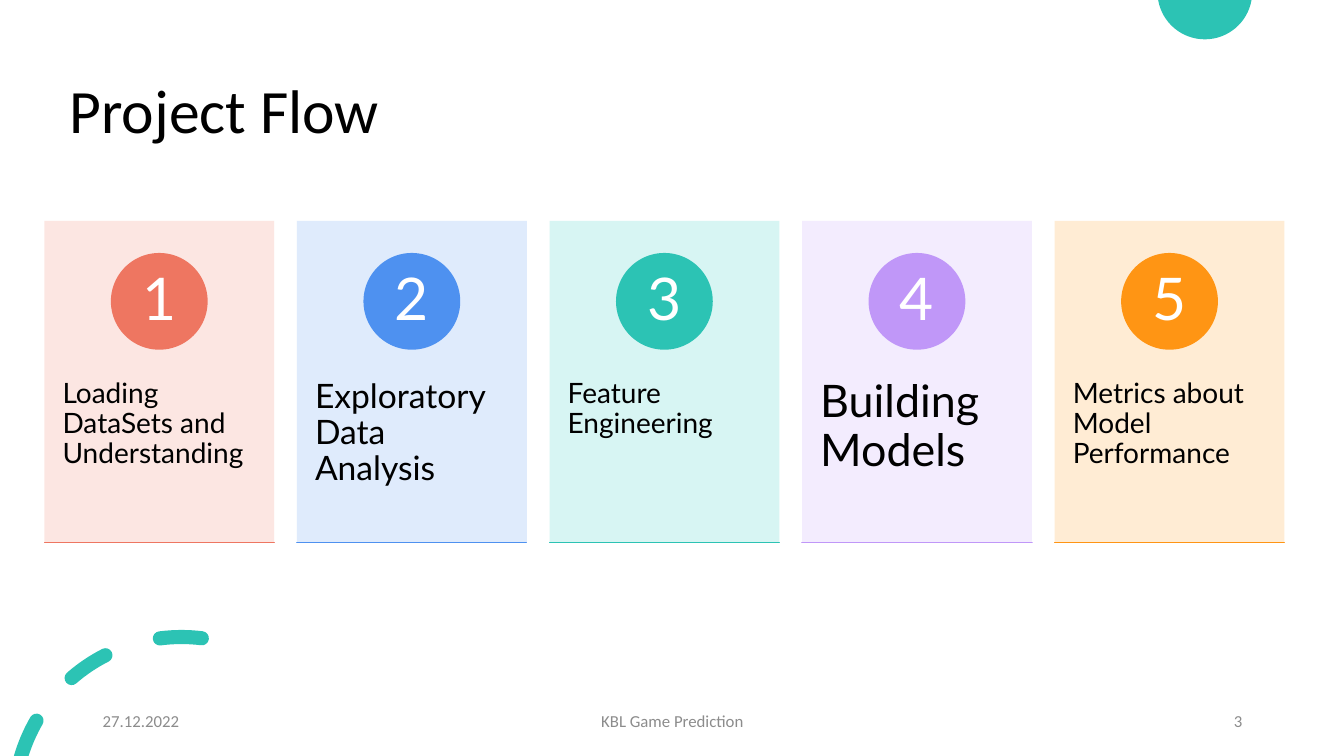
from math import cos, radians, sin, tan

from lxml import etree
from pptx import Presentation
from pptx import util as u
from pptx.dml.color import RGBColor
from pptx.enum import shapes, text
from pptx.oxml.ns import qn

# Content: step text, text size, accent colour, card tint
TITLE = "Project Flow"
STEPS = [
    ("Loading DataSets and Understanding", 20, "EE7661", "FCE4DF"),
    ("Exploratory Data Analysis", 24, "4E91F0", "DCE9FC"),
    ("Feature Engineering", 20, "2CC3B4", "D3F5F2"),
    ("Building Models", 32, "C097F8", "F2EAFE"),
    ("Metrics about Model Performance", 20, "FF9514", "FFEAD0"),
]
LEFT, MID, RIGHT = text.PP_ALIGN.LEFT, text.PP_ALIGN.CENTER, text.PP_ALIGN.RIGHT
# Footer: text, left, width, alignment
FOOTER = [
    ("27.12.2022", 92, 300, LEFT),
    ("KBL Game Prediction", 442, 450, MID),
    ("3", 942, 300, RIGHT),
]
TEAL = "2CC3B4"

# Layout in px, 100 to the inch
WIDE, HIGH = 1333, 750
FIRST, LAST, TOP = 44, 1046, 219
CARD_W, CARD_H = 228, 319
DISC, DISC_TOP, INSET = 96, 251, 14
BODY_TOP, BODY_H = 340, 191
PITCH = (LAST - FIRST) / (len(STEPS) - 1)

# Ring of dashes: centre, radius, half width; angles in degrees from the top
HUB, RING, HALF = (180, 798), 166, 7
OUT, IN = RING + HALF, RING - HALF


def px(n):
    return u.Emu(round(n * 9144))


def box(*dims):
    return [px(n) for n in dims]


def rgb(code):
    return RGBColor.from_string(code)


def paint(shape, code, edge=None):
    shape.fill.solid()
    shape.fill.fore_color.rgb = rgb(code)
    shape.shadow.inherit = False
    if edge:
        shape.line.color.rgb = rgb(edge)
        shape.line.width = u.Pt(1)
    else:
        shape.line.fill.background()


def write(shape, words, size, font, code, align=LEFT, space=1.0,
          anchor=text.MSO_ANCHOR.MIDDLE, pad=(10, 5)):
    frame = shape.text_frame
    frame.word_wrap = True
    frame.auto_size = text.MSO_AUTO_SIZE.NONE
    frame.vertical_anchor = anchor
    frame.margin_left = frame.margin_right = px(pad[0])
    frame.margin_top = frame.margin_bottom = px(pad[1])
    para = frame.paragraphs[0]
    para.alignment = align
    para.line_spacing = space
    run = para.add_run()
    run.text = words
    run.font.size = u.Pt(size)
    run.font.name = font
    run.font.color.rgb = rgb(code)


def polar(hub, r, deg):
    return hub[0] + r * sin(radians(deg)), hub[1] - r * cos(radians(deg))


def arc(hub, r, a, b):
    """Start, two handles and end of one curve."""
    k = 4 / 3 * tan(radians(b - a) / 4) * r
    start, end = polar(hub, r, a), polar(hub, r, b)
    return [start, polar(start, k, a + 90), polar(end, -k, b + 90), end]


def cap(deg, turn):
    hub = polar(HUB, RING, deg)
    return [arc(hub, HALF, turn + t, turn + t + 90) for t in (0, 90)]


def dash(a, b):
    return [arc(HUB, OUT, a, b), *cap(b, b),
            arc(HUB, IN, b, a), *cap(a, a + 180)]


def outline(tree, loops, code):
    """Closed loops of curves as one freeform."""
    pen = None
    for loop in loops:
        start = box(*loop[0][0])
        if pen:
            pen.move_to(*start)
        else:
            pen = tree.build_freeform(*start, scale=1.0)
        pen.add_line_segments([box(*p) for c in loop for p in c[1:]])
        pen.add_line_segments([], close=True)
    shape = pen.convert_to_shape()
    paint(shape, code)
    # Turn each three points into one curve
    steps = list(shape._element.iter(qn("a:lnTo")))
    for i in range(0, len(steps), 3):
        curve = etree.Element(qn("a:cubicBezTo"))
        steps[i].addprevious(curve)
        for step in steps[i:i + 3]:
            curve.append(step[0])
            step.getparent().remove(step)


def card(tree, num, words, size, accent, tint):
    left = FIRST + (num - 1) * PITCH
    # Tinted panel
    panel = tree.add_shape(shapes.MSO_SHAPE.RECTANGLE,
                           *box(left, TOP, CARD_W, CARD_H))
    paint(panel, tint)
    hue = panel.fill._xPr.find(qn("a:solidFill"))[0]
    etree.SubElement(hue, qn("a:alpha")).set("val", "90000")
    # Step text
    body = tree.add_textbox(*box(left, BODY_TOP, CARD_W, BODY_H))
    write(body, words, size, "Lato", "000000", space=0.9,
          anchor=text.MSO_ANCHOR.TOP, pad=(18, 36))
    # Disc and its number
    side = left + (CARD_W - DISC) / 2
    disc = tree.add_shape(shapes.MSO_SHAPE.OVAL,
                          *box(side, DISC_TOP, DISC, DISC))
    paint(disc, accent)
    inner = DISC - 2 * INSET
    digit = tree.add_textbox(
        *box(side + INSET, DISC_TOP + INSET, inner, inner))
    write(digit, str(num), 42, "Lato", "FFFFFF", MID, 0.9, pad=(7, 1))
    # Flat base bar
    base = tree.add_shape(shapes.MSO_SHAPE.RECTANGLE,
                          *box(left, TOP + CARD_H, CARD_W, 0))
    paint(base, accent, accent)


def main():
    deck = Presentation()
    deck.slide_width, deck.slide_height = box(WIDE, HIGH)
    slide = deck.slides.add_slide(deck.slide_layouts[5])
    tree = slide.shapes

    # Corner decoration; the lowest dash ends at the slide's foot
    sun = (1195, -8)
    outline(tree, [[arc(sun, 47, 100, 180), arc(sun, 47, 180, 260)]], TEAL)
    low = [arc(HUB, OUT, -73.9, -60), *cap(-60, -60), arc(HUB, IN, -60, -72.4)]
    outline(tree, [low, dash(-41, -27), dash(-7.4, 7)], TEAL)

    # Title
    head = tree.title
    head.left, head.top, head.width, head.height = box(59, 40, 1150, 145)
    write(head, TITLE, 44, "Calibri", "000000", space=0.9)

    # Step cards
    for num, step in enumerate(STEPS, 1):
        card(tree, num, *step)

    # Footer
    for words, left, width, align in FOOTER:
        note = tree.add_textbox(*box(left, 695, width, 40))
        write(note, words, 12, "Calibri", "8C8C8C", align)

    deck.save("out.pptx")


if __name__ == "__main__":
    main()
